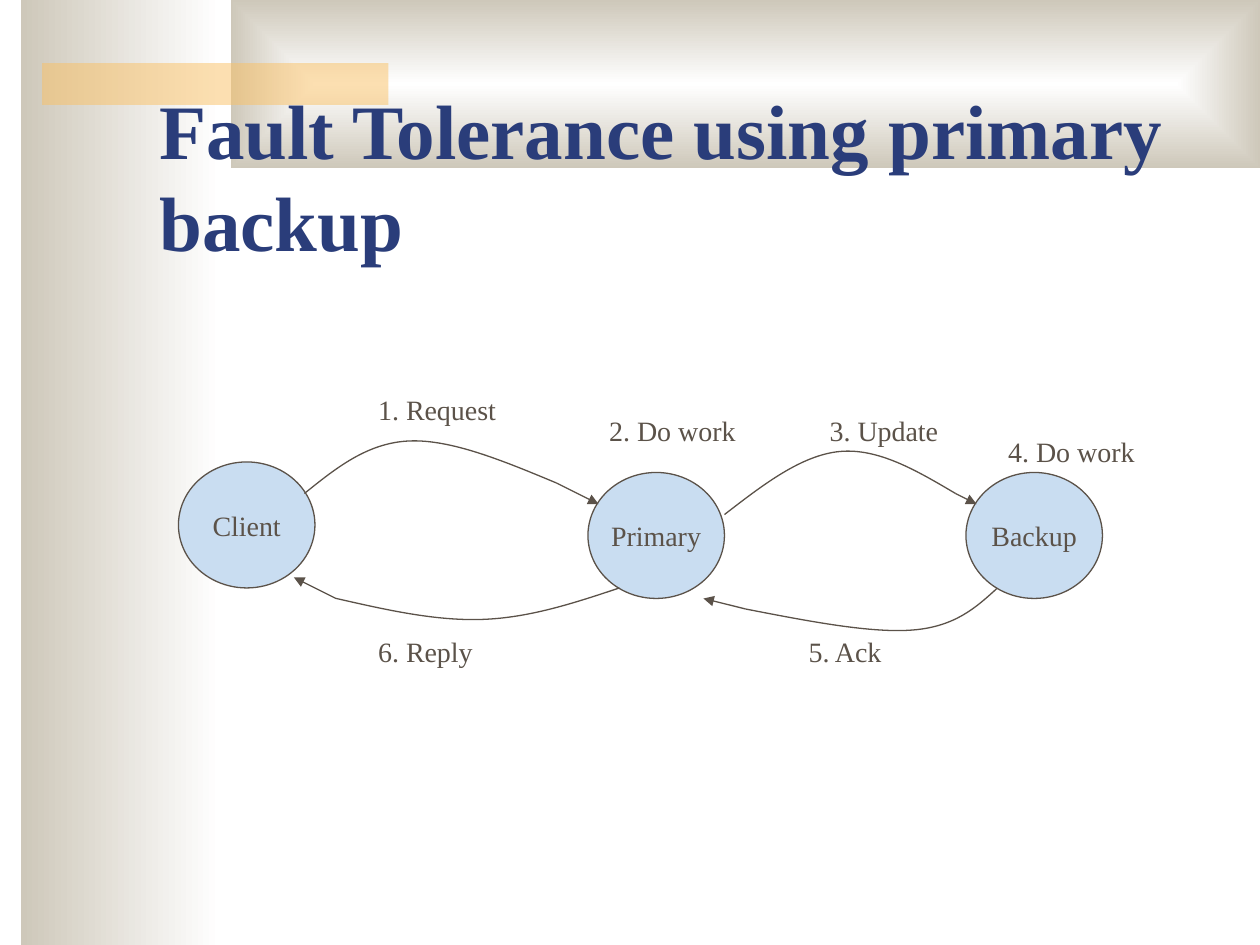
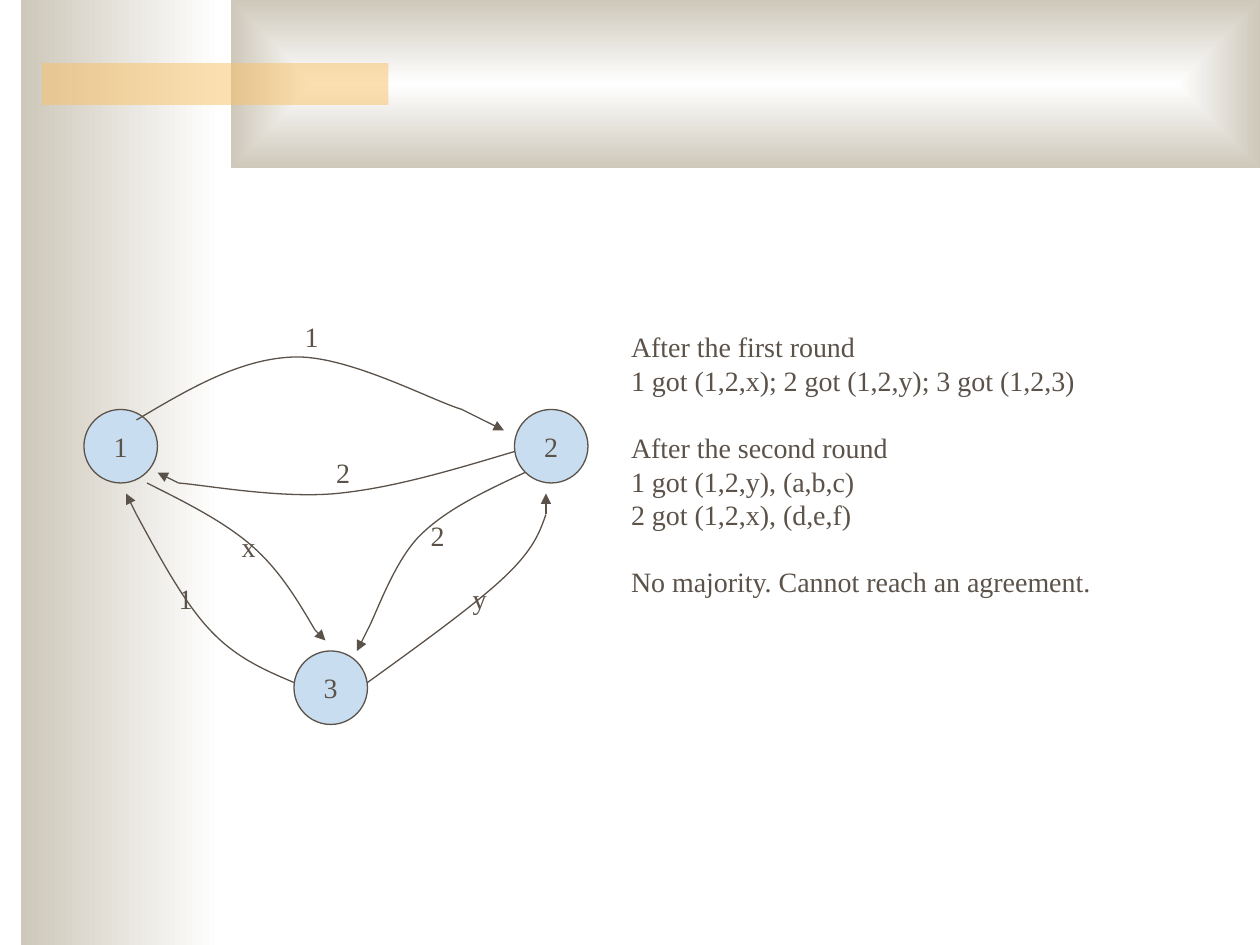
from lxml import etree
from pptx import Presentation
from pptx.dml.color import RGBColor
from pptx.enum.shapes import MSO_CONNECTOR, MSO_SHAPE
from pptx.enum.text import MSO_ANCHOR, PP_ALIGN
from pptx.oxml.ns import qn
from pptx.util import Pt

RECTANGLE = MSO_SHAPE.RECTANGLE
CIRCLE = MSO_SHAPE.FLOWCHART_CONNECTOR
STRAIGHT = MSO_CONNECTOR.STRAIGHT
LEFT, CENTER = PP_ALIGN.LEFT, PP_ALIGN.CENTER
TOP, MIDDLE, BOTTOM = MSO_ANCHOR.TOP, MSO_ANCHOR.MIDDLE, MSO_ANCHOR.BOTTOM

WHITE = RGBColor(0xFF, 0xFF, 0xFF)
STONE = RGBColor(0xCE, 0xC8, 0xBA)
GOLD = RGBColor(0xFA, 0xC1, 0x64)
NAVY = RGBColor(0x2A, 0x3D, 0x7A)
BROWN = RGBColor(0x5B, 0x52, 0x49)
SKY = RGBColor(0xC9, 0xDD, 0xF1)

FONT = "Times New Roman"
TEXT_SIZE = 16
TITLE_SIZE = 44
LINE_WIDTH = 0.75
LINE_HEIGHT = 19.2
LABEL_HEIGHT = 26.5


def write_text(frame, paragraphs, *, size=TEXT_SIZE, color=BROWN, bold=False,
               align=LEFT, anchor=TOP, wrap=True):
    """Fill a frame from (text, space before) pairs."""
    frame.word_wrap = wrap
    frame.vertical_anchor = anchor
    for index, (text, space_before) in enumerate(paragraphs):
        paragraph = frame.add_paragraph() if index else frame.paragraphs[0]
        paragraph.alignment = align
        paragraph.space_before = Pt(space_before)
        run = paragraph.add_run()
        run.text = text
        run.font.name = FONT
        run.font.size = Pt(size)
        run.font.bold = bold
        run.font.color.rgb = color


def midpoint(first, second):
    return tuple((a + b) / 2 for a, b in zip(first, second))


def spline_points(start, middle, end, end_control):
    """Points, after start, of two cubic curves that meet smoothly at middle."""
    tangent = [(b - a) / 6 for a, b in zip(start, end)]
    before = tuple(m - d for m, d in zip(middle, tangent))
    after = tuple(m + d for m, d in zip(middle, tangent))
    return [midpoint(start, before), before, middle,
            after, end_control or midpoint(after, end), end]


def bend_segments(freeform):
    """Turn each three straight segments into one cubic curve."""
    segments = list(freeform._element.iter(qn("a:lnTo")))
    for first in range(0, len(segments), 3):
        curve = etree.Element(qn("a:cubicBezTo"))
        segments[first].addprevious(curve)
        for segment in segments[first:first + 3]:
            curve.append(segment[0])
            segment.getparent().remove(segment)


class Deck:
    """Holds the shared style and the slide being drawn."""

    def __init__(self):
        self.presentation = Presentation()
        self.presentation.slide_width = Pt(720)
        self.presentation.slide_height = Pt(540)
        self.slide = None

    def new_slide(self):
        layout = self.presentation.slide_layouts[6]
        self.slide = self.presentation.slides.add_slide(layout)
        self.gradient_band(12, 0, 114, 540)
        self.gradient_band(132, 0, 588, 96, from_center=True)
        accent = self.shape(RECTANGLE, 24, 36, 198, 24)
        accent.fill.solid()
        accent.fill.fore_color.rgb = GOLD
        color = accent._element.spPr.find(qn("a:solidFill"))[0]
        etree.SubElement(color, qn("a:alpha"), val="50000")

    def shape(self, kind, left, top, width, height):
        shape = self.slide.shapes.add_shape(
            kind, Pt(left), Pt(top), Pt(width), Pt(height))
        shape.shadow.inherit = False
        shape.line.fill.background()
        return shape

    def gradient_band(self, left, top, width, height, from_center=False):
        band = self.shape(RECTANGLE, left, top, width, height)
        band.fill.gradient()
        band.fill.gradient_angle = 180
        for stop, color, position in zip(band.fill.gradient_stops, (WHITE, STONE), (0, 1)):
            stop.color.rgb = color
            stop.position = position
        if from_center:
            gradient = band._element.spPr.find(qn("a:gradFill"))
            gradient.remove(gradient.find(qn("a:lin")))
            center = etree.SubElement(gradient, qn("a:path"), path="rect")
            etree.SubElement(center, qn("a:fillToRect"),
                             l="50000", t="50000", r="50000", b="50000")

    def text_box(self, left, top, width, height, paragraphs, **text_format):
        box = self.slide.shapes.add_textbox(Pt(left), Pt(top), Pt(width), Pt(height))
        write_text(box.text_frame, paragraphs, **text_format)

    def title(self, text):
        self.text_box(84, 66, 612, 90, [(text, 0)], size=TITLE_SIZE,
                      color=NAVY, bold=True, anchor=BOTTOM)

    def label(self, text, left, top, width=22.5):
        self.text_box(left, top, width, LABEL_HEIGHT, [(text, 0)])

    def node(self, text, left, top, width, height):
        node = self.shape(CIRCLE, left, top, width, height)
        node.fill.solid()
        node.fill.fore_color.rgb = SKY
        self.outline(node)
        write_text(node.text_frame, [(text, 0)], align=CENTER, anchor=MIDDLE, wrap=False)

    def outline(self, shape):
        shape.line.color.rgb = BROWN
        shape.line.width = Pt(LINE_WIDTH)

    def curved_arrow(self, start, middle, end, tip, end_control=None):
        """Draw a curve from start to end, then a straight arrow to tip."""
        builder = self.slide.shapes.build_freeform(Pt(start[0]), Pt(start[1]))
        points = spline_points(start, middle, end, end_control)
        builder.add_line_segments([(Pt(x), Pt(y)) for x, y in points], close=False)
        curve = builder.convert_to_shape()
        bend_segments(curve)
        curve.shadow.inherit = False
        curve.fill.background()
        self.outline(curve)

        arrow = self.slide.shapes.add_connector(
            STRAIGHT, *(Pt(length) for length in (*end, *tip)))
        self.outline(arrow)
        properties = arrow._element.spPr
        etree.SubElement(properties.find(qn("a:ln")), qn("a:tailEnd"), type="triangle")
        etree.SubElement(properties, qn("a:effectLst"))


def draw_primary_backup(deck):
    deck.new_slide()
    deck.title("Fault Tolerance using primary backup")
    for name, left, top in (("Client", 102, 264), ("Backup", 552, 270),
                            ("Primary", 336, 270)):
        deck.node(name, left, top, 78, 72)
    for route in (
        ((174, 282), (234, 252), (318, 276), (342, 288)),
        ((354, 336), (276, 354), (192, 342), (168, 330)),
        ((414, 294), (480, 258), (546, 282), (558, 288)),
        ((570, 336), (522, 360), (426, 348), (402, 342)),
    ):
        deck.curved_arrow(*route)
    for step in (
        ("1. Request", 209, 221, 82.5),
        ("2. Do work", 341, 233, 87.5),
        ("3. Update", 467, 233, 77.5),
        ("4. Do work", 569, 245, 87.5),
        ("5. Ack", 455, 359, 57.5),
        ("6. Reply", 209, 359, 69.5),
    ):
        deck.label(*step)


def draw_message_rounds(deck):
    deck.new_slide()
    for name, left, top in (("1", 48, 234), ("3", 168, 372), ("2", 294, 234)):
        deck.node(name, left, top, 42, 42)
    for route in (
        ((78, 240), (168, 204), (264, 234), (288, 246), (247, 229)),
        ((294, 258), (192, 282), (102, 276), (90, 270), (116, 277)),
        ((84, 276), (144, 312), (180, 360), (186, 366)),
        ((168, 390), (120, 360), (78, 294), (72, 282)),
        ((300, 270), (240, 306), (210, 360), (204, 372), (215, 351)),
        ((210, 390), (288, 330), (312, 294), (312, 282)),
    ):
        deck.curved_arrow(*route)
    for message in (("1", 167, 179), ("2", 185, 257), ("1", 95, 329),
                    ("x", 131, 299), ("2", 239, 293), ("y", 263, 329)):
        deck.label(*message)
    deck.text_box(353.5, 185, 278.5, 161, [
        ("After the first round", 0),
        ("1 got (1,2,x); 2 got (1,2,y); 3 got (1,2,3)", 0),
        ("After the second round", LINE_HEIGHT),
        ("1 got (1,2,y), (a,b,c)", 0),
        ("2 got (1,2,x), (d,e,f)", 0),
        ("No majority. Cannot reach an agreement.", LINE_HEIGHT),
    ])


def main():
    deck = Deck()
    draw_primary_backup(deck)
    draw_message_rounds(deck)
    deck.presentation.save("out.pptx")


if __name__ == "__main__":
    main()
